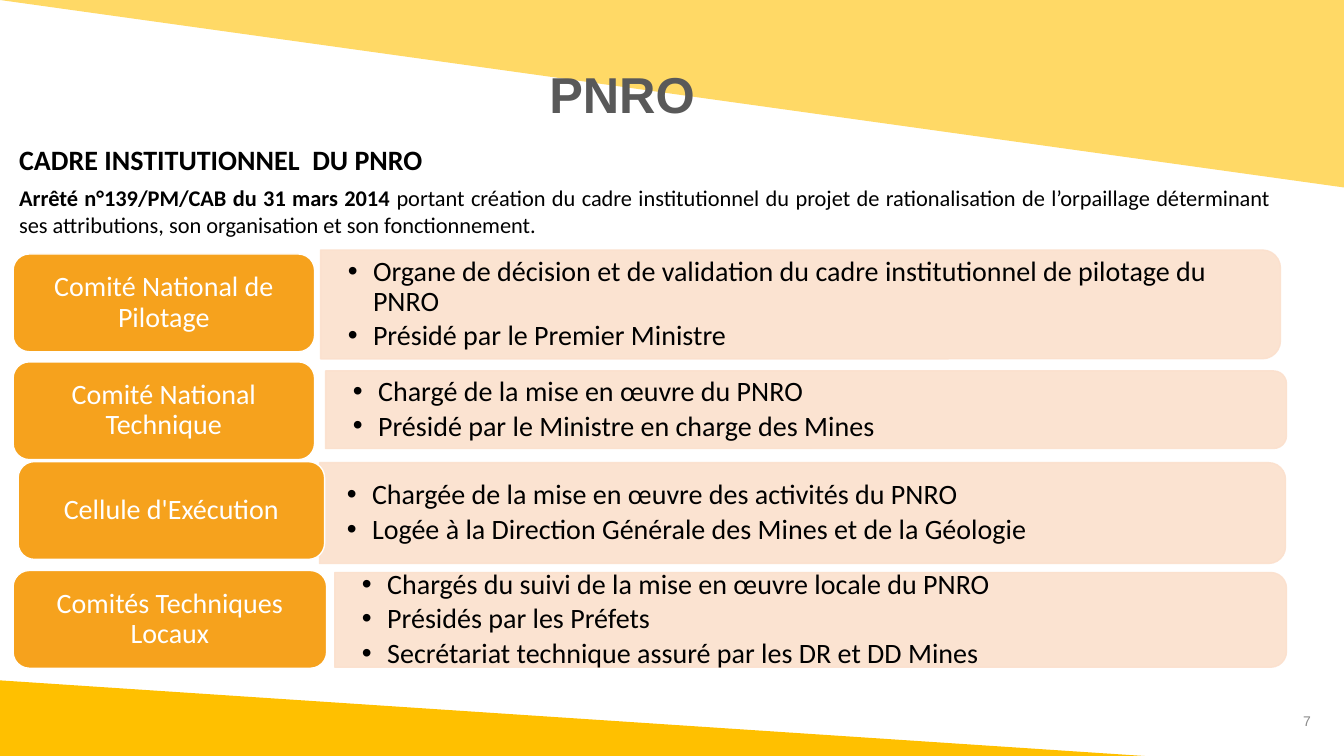
from lxml import etree
from pptx import Presentation
from pptx.dml.color import RGBColor
from pptx.enum import shapes, text
from pptx.oxml.ns import qn
from pptx.util import Inches, Pt

PALE_YELLOW = RGBColor(0xFF, 0xD9, 0x66)
GOLD = RGBColor(0xFF, 0xC0, 0x00)
ORANGE = RGBColor(0xF6, 0xA2, 0x1D)
PEACH = RGBColor(0xFB, 0xE0, 0xCD)
DARK_GREY = RGBColor(0x59, 0x59, 0x59)
LIGHT_GREY = RGBColor(0x89, 0x89, 0x89)
BLACK = RGBColor(0, 0, 0)
WHITE = RGBColor(0xFF, 0xFF, 0xFF)

deck = Presentation()
deck.slide_width, deck.slide_height = Inches(13.33), Inches(7.5)
page = deck.slides.add_slide(deck.slide_layouts[6])


def paint(shape, fill, line=None):
    shape.shadow.inherit = False
    shape.fill.solid()
    shape.fill.fore_color.rgb = fill
    if line is None:
        shape.line.fill.background()
    else:
        shape.line.color.rgb = line
        shape.line.width = Pt(1)


def write(shape, paragraphs, margins=(0.1, 0.05), bullet=False, anchor="MIDDLE", **layout):
    """Each paragraph is a list of (words, font, size, colour, bold) spans."""
    frame = shape.text_frame
    frame.word_wrap = True
    frame.vertical_anchor = text.MSO_ANCHOR[anchor]
    frame.margin_left = frame.margin_right = Inches(margins[0])
    frame.margin_top = frame.margin_bottom = Inches(margins[1])
    for index, spans in enumerate(paragraphs):
        para = frame.paragraphs[0] if index == 0 else frame.add_paragraph()
        if bullet:
            properties = para._p.get_or_add_pPr()
            properties.set("marL", str(Inches(0.25)))
            properties.set("indent", str(-Inches(0.25)))
            etree.SubElement(properties, qn("a:buFont")).set("typeface", "Arial")
            etree.SubElement(properties, qn("a:buChar")).set("char", "•")
        for name, value in layout.items():
            if index > 0 or name != "space_before":
                setattr(para, name, value)
        for words, font, size, colour, bold in spans:
            span = para.add_run()
            span.text = words
            span.font.color.rgb = colour
            for name, value in {"name": font, "size": Pt(size), "bold": bold}.items():
                setattr(span.font, name, value)


# Background wedges
top_wedge = page.shapes.add_shape(shapes.MSO_SHAPE.RIGHT_TRIANGLE, 0, 0, Inches(13.33), Inches(1.86))
top_wedge.rotation = 180
paint(top_wedge, PALE_YELLOW)

outline = page.shapes.build_freeform(0, Inches(7.51))
outline.add_line_segments([(0, Inches(6.75)), (Inches(11.65), Inches(7.52))], close=True)
paint(outline.convert_to_shape(), GOLD)

# Title and page number
title = page.shapes.add_textbox(Inches(2.49), Inches(0.24), Inches(7.36), Inches(1.45))
write(title, [[("PNRO", "Arial", 36, DARK_GREY, True)]],
      alignment=text.PP_ALIGN.CENTER, line_spacing=0.9)
number = page.shapes.add_textbox(Inches(10.1), Inches(6.95), Inches(3), Inches(0.4))
write(number, [[("7", "Arial", 10, LIGHT_GREY, False)]], alignment=text.PP_ALIGN.RIGHT)

# Committees: label, (left, top, width) of label, (left, top, width, height) of panel, duties
committees = [
    ("Comité National de Pilotage", (0.13, 2.52, 2.99), (3.18, 2.48, 9.52, 1.08),
     ["Organe de décision et de validation du cadre institutionnel de pilotage du PNRO",
      "Présidé par le Premier Ministre"]),
    ("Comité National Technique", (0.13, 3.59, 2.99), (3.23, 3.68, 9.53, 0.77),
     ["Chargé de la mise en œuvre du PNRO",
      "Présidé par le Ministre en charge des Mines"]),
    ("Cellule d'Exécution", (0.18, 4.58, 3.04), (3.17, 4.59, 9.58, 1),
     ["Chargée de la mise en œuvre des activités du PNRO",
      "Logée à la Direction Générale des Mines et de la Géologie"]),
    ("Comités Techniques Locaux", (0.13, 5.66, 3.11), (3.32, 5.68, 9.44, 0.94),
     ["Chargés du suivi de la mise en œuvre locale du PNRO",
      "Présidés par les Préfets",
      "Secrétariat technique assuré par les DR et DD Mines"]),
]
for label, label_place, (left, top, width, height), duties in committees:
    # Panel, turned a quarter so that its rounded corners face right
    shift = (width - height) / 2
    panel = page.shapes.add_shape(shapes.MSO_SHAPE.ROUND_2_SAME_RECTANGLE, Inches(left + shift),
                                  Inches(top - shift), Inches(height), Inches(width))
    panel.rotation = 90
    paint(panel, PEACH, PEACH)
    for colour in panel._element.spPr.iter(qn("a:srgbClr")):
        etree.SubElement(colour, qn("a:alpha")).set("val", "90000")

    box = page.shapes.add_textbox(Inches(left), Inches(top), Inches(width - 0.05), Inches(height))
    write(box, [[(duty, "Calibri", 20, BLACK, False)] for duty in duties],
          margins=(0.27, 0.14), bullet=True, line_spacing=0.9, space_after=Pt(3))

    left, top, width = label_place
    badge = page.shapes.add_shape(shapes.MSO_SHAPE.ROUNDED_RECTANGLE, Inches(left), Inches(top),
                                  Inches(width), Inches(0.97))
    paint(badge, ORANGE, WHITE)
    write(badge, [[(label, "Calibri", 20, WHITE, False)]], margins=(0.08, 0.04),
          alignment=text.PP_ALIGN.CENTER, line_spacing=0.9)

# Introduction
intro = page.shapes.add_textbox(0, Inches(1.36), Inches(12.7), Inches(1.12))
write(intro, [
    [("CADRE INSTITUTIONNEL  DU PNRO", "Calibri", 20, BLACK, True)],
    [("Arrêté n°139/PM/CAB du 31 mars 2014 ", "Calibri", 16, BLACK, True),
     ("portant création du cadre institutionnel du projet de rationalisation de l’orpaillage "
      "déterminant ses attributions, son organisation et son fonctionnement.",
      "Calibri", 16, BLACK, False)],
], margins=(0.19, 0.05), anchor="TOP", alignment=text.PP_ALIGN.JUSTIFY, space_before=Pt(6))
intro.text_frame.margin_right = Inches(0.1)

deck.save("out.pptx")
